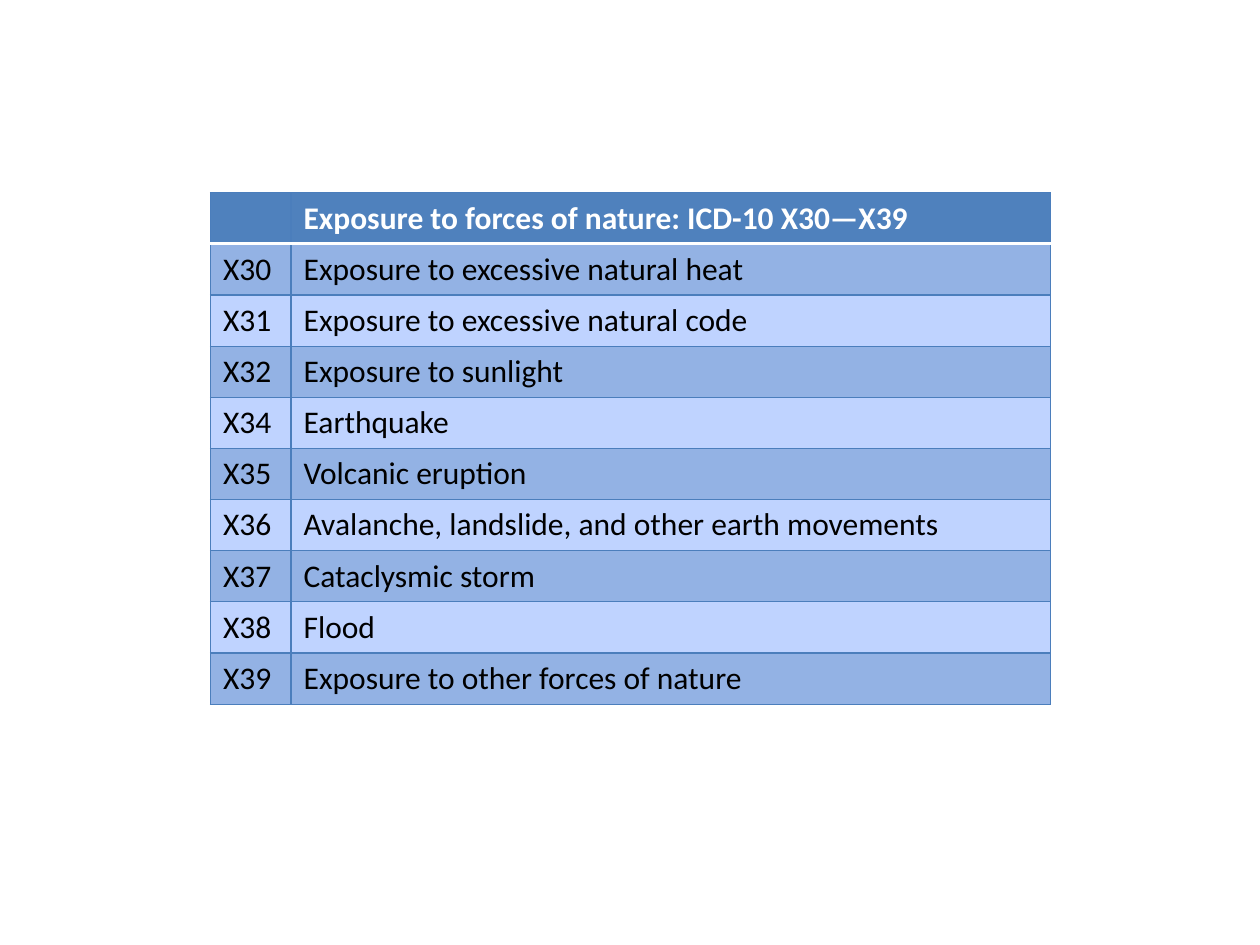
from dataclasses import dataclass

from lxml import etree
from pptx import Presentation
from pptx.dml.color import RGBColor
from pptx.oxml.ns import qn
from pptx.util import Inches, Pt

COLORS = {
    "header": "4F81BD",
    "dark_band": "93B2E4",
    "light_band": "BFD3FF",
    "border": "4B7EBC",
    "white": "FFFFFF",
    "black": "000000",
}
FONT = "Calibri"
FONT_SIZE = Pt(18)
SLIDE_WIDTH, SLIDE_HEIGHT = Inches(10), Inches(7.5)
TABLE_LEFT, TABLE_TOP = Inches(1.67), Inches(1.53)
TABLE_WIDTH, TABLE_HEIGHT = SLIDE_WIDTH * 2 // 3, Inches(4.06)
CODE_WIDTH = Inches(0.64)
THIN, THICK = Pt(0.75), Pt(2)
SIDES = ("L", "R", "T", "B")
BLANK_LAYOUT = 6


@dataclass(frozen=True)
class RowStyle:
    fill: str
    text: str = "black"
    bold: bool = False


HEADER = RowStyle("header", "white", True)
BANDS = (RowStyle("dark_band"), RowStyle("light_band"))

ROWS = (
    ("", "Exposure to forces of nature: ICD-10 X30—X39"),
    ("X30", "Exposure to excessive natural heat"),
    ("X31", "Exposure to excessive natural code"),
    ("X32", "Exposure to sunlight"),
    ("X34", "Earthquake"),
    ("X35", "Volcanic eruption"),
    ("X36", "Avalanche, landslide, and other earth movements"),
    ("X37", "Cataclysmic storm"),
    ("X38", "Flood"),
    ("X39", "Exposure to other forces of nature"),
)


def add_border(cell, side: str, color: str, width: int) -> None:
    properties = cell._tc.get_or_add_tcPr()
    line = etree.SubElement(properties, qn(f"a:ln{side}"), w=str(width))
    fill = etree.SubElement(line, qn("a:solidFill"))
    etree.SubElement(fill, qn("a:srgbClr"), val=COLORS[color])


def fill_cell(cell, text: str, style: RowStyle, white_side: str) -> None:
    """Style one cell; white_side is the side on the header rule, if any."""
    for side in SIDES:
        on_rule = side == white_side
        add_border(cell, side, "white" if on_rule else "border", THICK if on_rule else THIN)
    cell.fill.solid()
    cell.fill.fore_color.rgb = RGBColor.from_string(COLORS[style.fill])
    if text:
        run = cell.text_frame.paragraphs[0].add_run()
        run.text = text
        run.font.name = FONT
        run.font.size = FONT_SIZE
        run.font.bold = style.bold
        run.font.color.rgb = RGBColor.from_string(COLORS[style.text])


def add_code_table(slide) -> None:
    table = slide.shapes.add_table(
        len(ROWS), 2, TABLE_LEFT, TABLE_TOP, TABLE_WIDTH, TABLE_HEIGHT
    ).table
    table.columns[0].width = CODE_WIDTH
    table.columns[1].width = TABLE_WIDTH - CODE_WIDTH
    for row, texts in enumerate(ROWS):
        style = BANDS[(row - 1) % 2] if row else HEADER
        white_side = {0: "B", 1: "T"}.get(row, "")
        for column, text in enumerate(texts):
            fill_cell(table.cell(row, column), text, style, white_side)


def main() -> None:
    presentation = Presentation()
    presentation.slide_width = SLIDE_WIDTH
    presentation.slide_height = SLIDE_HEIGHT
    slide = presentation.slides.add_slide(presentation.slide_layouts[BLANK_LAYOUT])
    add_code_table(slide)
    presentation.save("out.pptx")


if __name__ == "__main__":
    main()
